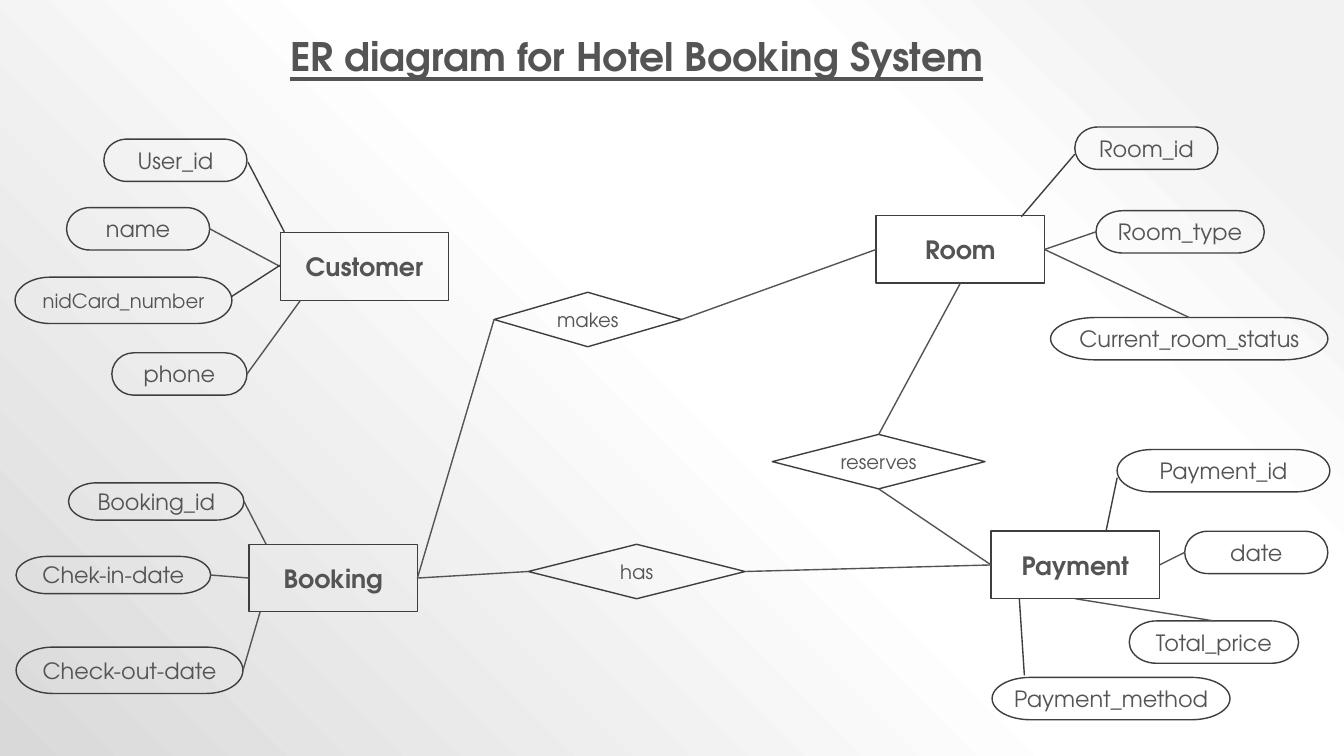
from lxml import etree
from pptx import Presentation
from pptx import util as u
from pptx.dml.color import RGBColor
from pptx.enum import shapes, text
from pptx.oxml import parse_xml
from pptx.oxml.ns import qn

PX = 9144
THEME = {
    "font": "TeX Gyre Adventor",
    "ink": RGBColor.from_string("545454"),
    "outline": RGBColor.from_string("3E3E3E"),
    "background": [(10, "F2F2F2"), (28, "FFFFFF"), (48, "FFFFFF"), (100, "D9D9D9")],
    "title": 28,
    "entity": 18,
    "attribute": 16,
    "small": 14,
}
TOP, LEFT, BOTTOM, RIGHT = range(4)


def write(sp, label, size, bold=False, underline=False):
    tf = sp.text_frame
    tf.text = label
    tf.word_wrap = True
    p = tf.paragraphs[0]
    p.alignment = text.PP_ALIGN.CENTER
    font = p.runs[0].font
    font.name = THEME["font"]
    font.size = u.Pt(THEME[size])
    font.color.rgb = THEME["ink"]
    font.bold = bold
    font.underline = underline


prs = Presentation()
prs.slide_width, prs.slide_height = 1333 * PX, 750 * PX
s = prs.slides.add_slide(prs.slide_layouts[6])

stops = "".join(
    f'<a:gs pos="{pos * 1000}"><a:srgbClr val="{color}"/></a:gs>'
    for pos, color in THEME["background"]
)
s.background.fill.gradient()
bg_pr = s.background.fill._xPr
bg_pr.replace(bg_pr.find(qn("a:gradFill")), parse_xml(
    '<a:gradFill xmlns:a="http://schemas.openxmlformats.org/drawingml/2006/main">'
    f'<a:gsLst>{stops}</a:gsLst><a:path path="circle">'
    '<a:fillToRect l="100000" b="100000"/></a:path></a:gradFill>'
))

title = s.shapes.add_textbox(193 * PX, 27 * PX, 877 * PX, 57 * PX)
write(title, "ER diagram for Hotel Booking System", "title", bold=True, underline=True)

entities = [
    ("Customer", 278, 231, 167, 67),
    ("Booking", 247, 540, 167, 67),
    ("Room", 869, 214, 167, 67),
    ("Payment", 983, 527, 167, 67),
]
attributes = [
    ("User_id", 103, 138, 142, 42),
    ("name", 66, 206, 142, 42),
    ("phone", 111, 350, 134, 42),
    ("Booking_id", 68, 479, 174, 37),
    ("Chek-in-date", 16, 552, 193, 37),
    ("Check-out-date", 16, 642, 225, 46),
    ("Room_id", 1066, 126, 142, 42),
    ("Room_type", 1087, 209, 167, 42),
    ("Current_room_status", 1042, 315, 275, 42),
    ("Payment_id", 1108, 446, 211, 42),
    ("date", 1175, 527, 142, 42),
    ("Total_price", 1120, 616, 168, 42),
    ("Payment_method", 984, 672, 236, 42),
]
long_attributes = [("nidCard_number", 15, 275, 215, 46)]
relationships = [
    ("makes", 490, 290, 186, 54),
    ("has", 524, 540, 215, 54),
    ("reserves", 766, 431, 211, 54),
]
groups = [
    (shapes.MSO_SHAPE.RECTANGLE, "entity", entities),
    (shapes.MSO_SHAPE.FLOWCHART_TERMINATOR, "attribute", attributes),
    (shapes.MSO_SHAPE.FLOWCHART_TERMINATOR, "small", long_attributes),
    (shapes.MSO_SHAPE.DIAMOND, "small", relationships),
]
nodes = {}
for kind, size, members in groups:
    for label, *box in members:
        sp = s.shapes.add_shape(kind, *(v * PX for v in box))
        sp.shadow.inherit = False
        sp.fill.background()
        sp.line.color.rgb = THEME["outline"]
        sp.line.width = u.Pt(1)
        sp.text_frame.vertical_anchor = text.MSO_ANCHOR.MIDDLE
        write(sp, label, size, bold=size == "entity")
        nodes[label] = sp

glued_links = [
    (("name", RIGHT), ("Customer", LEFT)),
    (("phone", RIGHT), (298, 298)),
    (("Booking_id", RIGHT), (264, 540)),
    (("Chek-in-date", RIGHT), ("Booking", LEFT)),
    (("Check-out-date", RIGHT), (258, 607)),
    (("Room_type", LEFT), ("Room", RIGHT)),
    (("Current_room_status", TOP), ("Room", RIGHT)),
    (("date", LEFT), ("Payment", RIGHT)),
    (("Total_price", TOP), ("Payment", BOTTOM)),
    (("Payment", LEFT), ("reserves", BOTTOM)),
    (("Room", BOTTOM), ("reserves", TOP)),
    (("Booking", RIGHT), ("makes", LEFT)),
    (("Booking", RIGHT), ("has", LEFT)),
    (("makes", RIGHT), ("Room", LEFT)),
    (("has", RIGHT), ("Payment", LEFT)),
]
loose_links = [
    ((246, 161), (282, 230)),
    ((230, 294), (278, 263)),
    ((1066, 153), (1013, 215)),
    ((1108, 474), (1097, 527)),
    ((1016, 670), (1011, 594)),
]
for color, links in (("ink", glued_links), ("outline", loose_links)):
    for start, end in links:
        points = [(0, 0) if pt[0] in nodes else pt for pt in (start, end)]
        link = s.shapes.add_connector(
            shapes.MSO_CONNECTOR.STRAIGHT, *(v * PX for pt in points for v in pt)
        )
        if start[0] in nodes:
            link.begin_connect(nodes[start[0]], start[1])
        if end[0] in nodes:
            link.end_connect(nodes[end[0]], end[1])
        link.line.color.rgb = THEME[color]
        link.line.width = u.Pt(1)
        etree.SubElement(link._element.spPr, qn("a:effectLst"))

prs.save("out.pptx")
